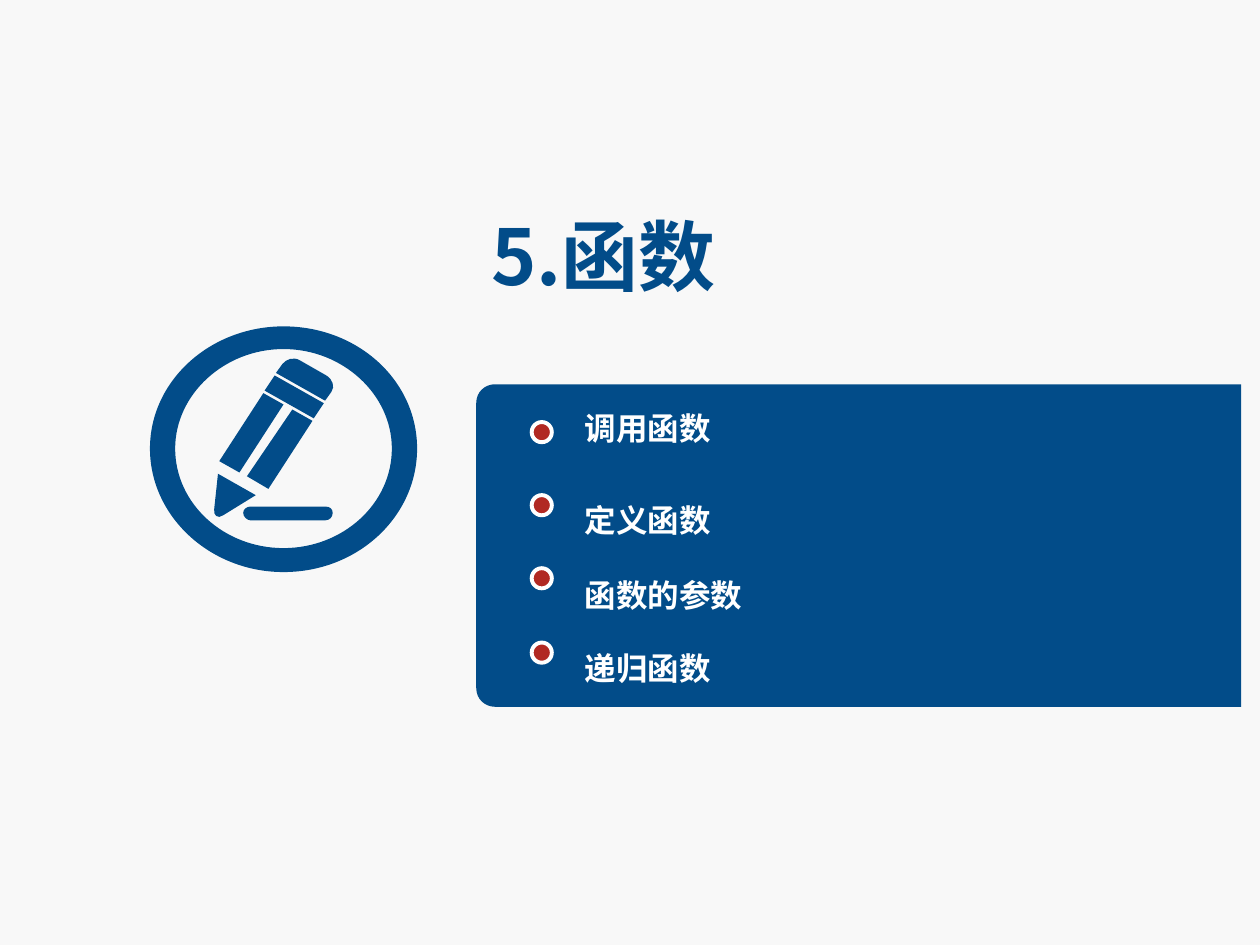
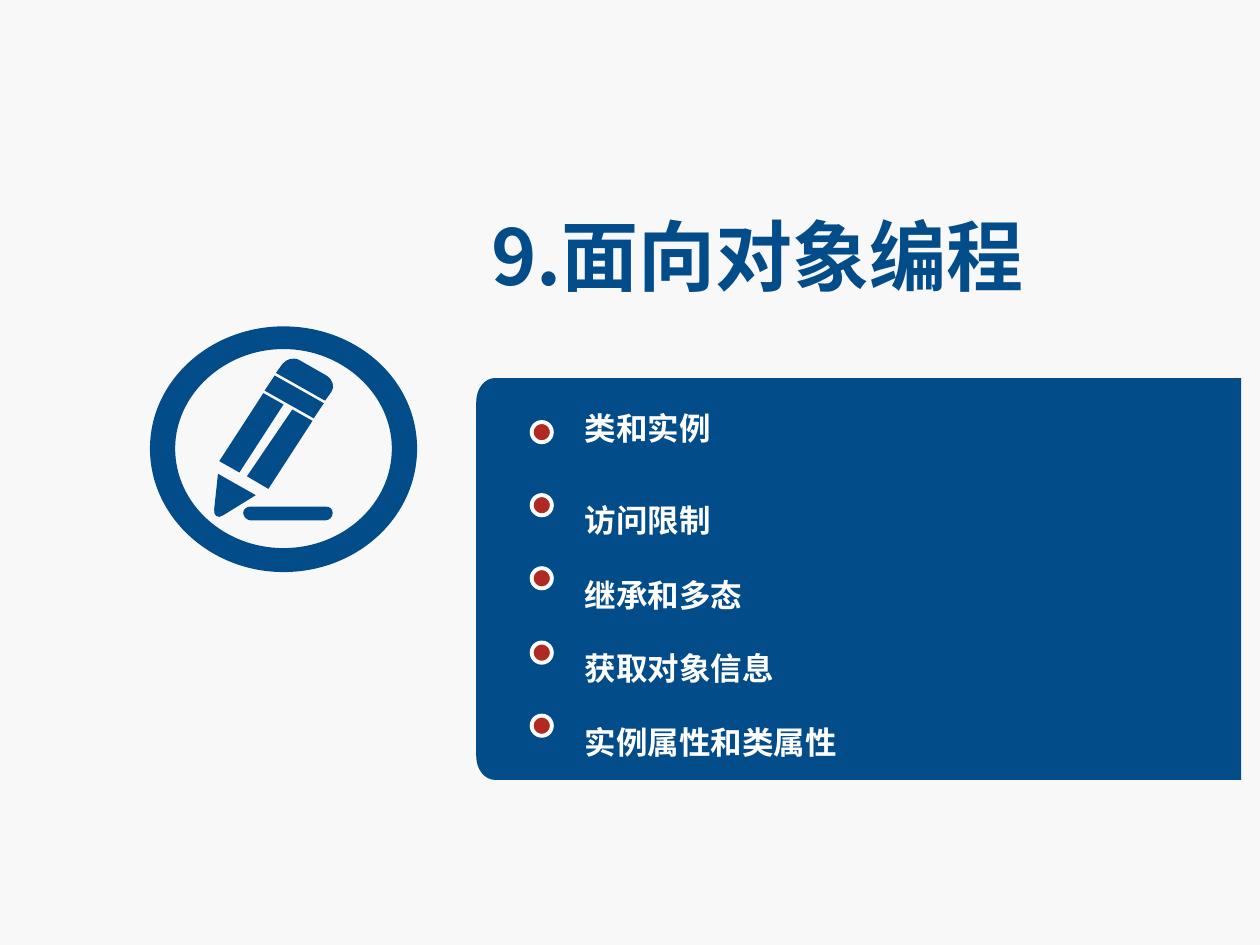
from pptx import Presentation
from pptx import util as u
from pptx.dml.color import RGBColor
from pptx.enum import shapes, text
from pptx.oxml.ns import qn
from lxml import etree

PX = 9144  # EMU per px, 100 px to the inch
BLUE = RGBColor(0x02, 0x4C, 0x89)
RED = RGBColor(0xB1, 0x29, 0x23)
WHITE = RGBColor(0xFF, 0xFF, 0xFF)
PAPER = RGBColor(0xF8, 0xF8, 0xF8)
FONT = "Noto Sans CJK SC"

# Each contour is a list of points (x, y) and curves (x1, y1, x2, y2, x, y)
PENCIL_ICON = [
    # Line under the pencil
    [(199, 402), (258, 402), (262, 402, 264, 404, 264, 407),
     (264, 410, 262, 413, 258, 413), (199, 413),
     (196, 413, 193, 410, 193, 407), (193, 404, 196, 402, 199, 402)],
    # Two halves of the shaft
    [(196, 378), (232, 325), (248, 334), (213, 388), (196, 378)],
    [(174, 366), (209, 312), (225, 321), (190, 375), (174, 366)],
    # Tip, collar and eraser
    [(170, 404), (173, 376), (203, 393), (177, 409), (173, 412, 169, 409, 170, 404)],
    [(218, 298), (257, 320), (249, 332), (210, 310), (218, 298)],
    [(224, 289), (227, 285, 233, 283, 238, 286), (259, 298),
     (264, 301, 266, 307, 263, 311), (258, 318), (219, 296), (224, 289)],
    # Outer and inner edge of the ring
    [(225, 259), (284, 259, 331, 302, 331, 356), (331, 410, 284, 454, 225, 454),
     (167, 454, 119, 410, 119, 356), (119, 302, 167, 259, 225, 259)],
    [(225, 277), (272, 277, 311, 313, 311, 356), (311, 400, 272, 435, 225, 435),
     (178, 435, 139, 400, 139, 356), (139, 313, 178, 277, 225, 277)],
]

# Title, panel top, panel bottom, corner height, topics
SECTIONS = [
    ("5.函数", 305, 561, 15, ["调用函数", "定义函数", "函数的参数", "递归函数"]),
    ("9.面向对象编程", 300, 619, 19,
     ["类和实例", "访问限制", "继承和多态", "获取对象信息", "实例属性和类属性"]),
]


def add_outline(slide, contours):
    """Draw closed contours as one blue freeform with true curves."""
    builder = slide.shapes.build_freeform(*contours[0][0], scale=PX)
    for index, (start, *parts) in enumerate(contours):
        if index:
            builder.move_to(*start)
        points = [part[i:i + 2] for part in parts for i in range(0, len(part), 2)]
        builder.add_line_segments(points, close=True)
    shape = builder.convert_to_shape()
    shape.shadow.inherit = False
    shape.fill.solid()
    shape.fill.fore_color.rgb = BLUE
    shape.line.fill.background()

    # Merge the three points of each curve into one Bézier segment
    segments = iter(list(shape._element.iter(qn("a:lnTo"))))
    for _, *parts in contours:
        for part in parts:
            segment = next(segments)
            if len(part) == 6:
                segment_curve = etree.Element(qn("a:cubicBezTo"))
                segment.addprevious(segment_curve)
                for line in (segment, next(segments), next(segments)):
                    segment_curve.append(line[0])
                    line.getparent().remove(line)


def add_label(slide, left, top, width, height, wording, size, color, spacing=None):
    """Add one bold line of text."""
    box = slide.shapes.add_textbox(left * PX, top * PX, width * PX, height * PX)
    frame = box.text_frame
    frame.word_wrap = True
    frame.auto_size = text.MSO_AUTO_SIZE.SHAPE_TO_FIT_TEXT
    frame.margin_left = frame.margin_right = frame.margin_top = frame.margin_bottom = 5 * PX
    paragraph = frame.paragraphs[0]
    if spacing:
        paragraph.line_spacing = spacing
    run = paragraph.add_run()
    run.text = wording
    run.font.size = u.Pt(size)
    run.font.bold = True
    run.font.color.rgb = color
    run.font.name = FONT
    etree.SubElement(run.font._element, qn("a:ea")).set("typeface", FONT)


presentation = Presentation()
presentation.slide_width = 1000 * PX
presentation.slide_height = 750 * PX

for title, top, bottom, corner, topics in SECTIONS:
    slide = presentation.slides.add_slide(presentation.slide_layouts[6])
    slide.background.fill.solid()
    slide.background.fill.fore_color.rgb = PAPER

    # Panel with rounded left corners
    bend = corner * 9 // 20
    add_outline(slide, [[
        (393, top), (985, top), (985, bottom), (393, bottom),
        (385, bottom, 378, bottom - bend, 378, bottom - corner),
        (378, top + corner), (378, top + bend, 385, top, 393, top)]])

    # Title and icon
    add_label(slide, 385, 161, 594, 96, title, 44, BLUE)
    add_outline(slide, PENCIL_ICON)

    # Topics with their dots
    for index, topic in enumerate(topics):
        dot = slide.shapes.add_shape(shapes.MSO_SHAPE.OVAL, 422 * PX,
                                     (335 + 175 * index // 3) * PX, 16 * PX, 16 * PX)
        dot.shadow.inherit = False
        dot.fill.solid()
        dot.fill.fore_color.rgb = RED
        dot.line.color.rgb = WHITE
        dot.line.width = u.Pt(2.25)
        add_label(slide, 459, 320 + 117 * index // 2, 421, 45, topic, 18, WHITE,
                  1.5 if index else None)

presentation.save("out.pptx")
